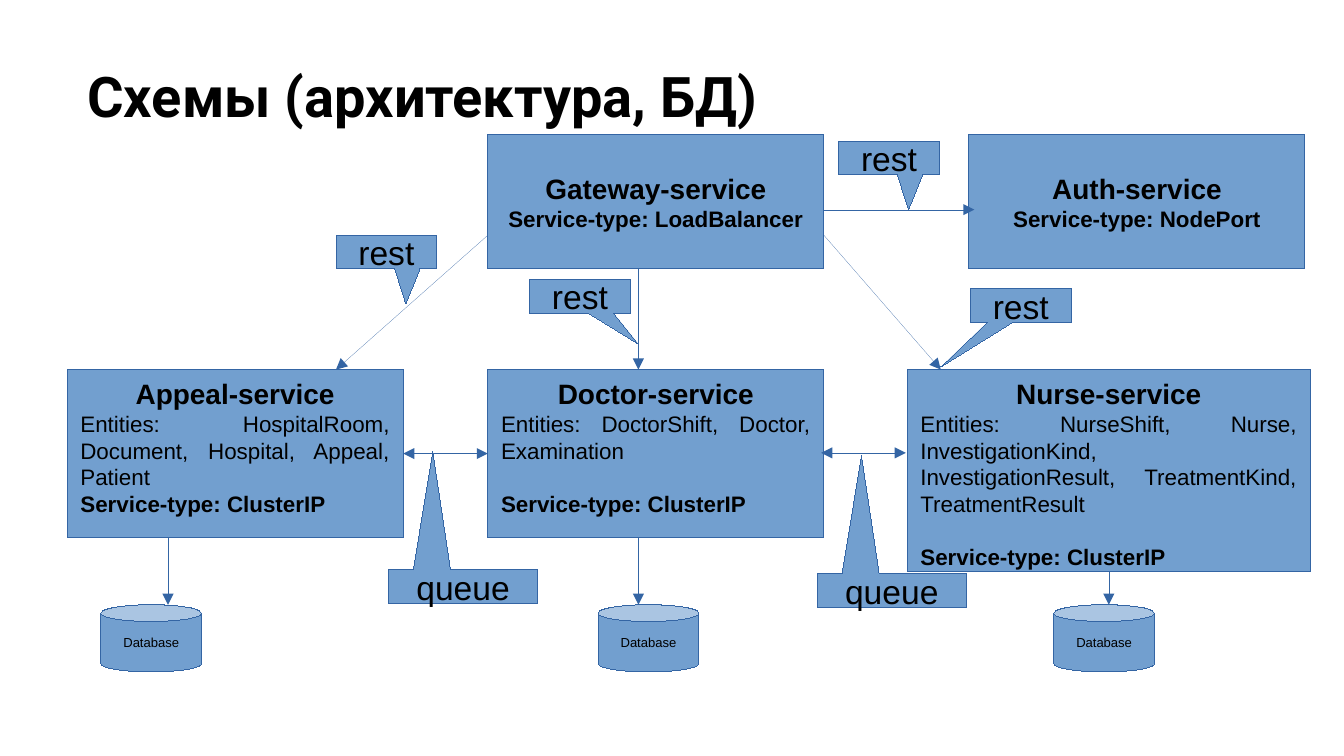
"""Builds the service architecture slide."""
from dataclasses import dataclass

from lxml.etree import SubElement
from pptx import Presentation
from pptx.dml.color import RGBColor
from pptx.enum.shapes import MSO_CONNECTOR, MSO_SHAPE
from pptx.enum.text import MSO_ANCHOR, MSO_AUTO_SIZE, PP_ALIGN
from pptx.oxml.ns import qn
from pptx.util import Emu, Pt


@dataclass(frozen=True)
class Theme:
    fill: RGBColor = RGBColor(0x72, 0x9F, 0xCF)
    line: RGBColor = RGBColor(0x34, 0x65, 0xA4)
    text: RGBColor = RGBColor(0, 0, 0)
    title_font: str = "Roboto"
    body_font: str = "Arial"
    title_size: int = 30
    heading_size: int = 15
    body_size: int = 12
    label_size: int = 18
    database_size: int = 7
    gap: int = 14


THEME = Theme()
SCALE = 9144
PAGE_WIDTH = 1000
TITLE = "Схемы (архитектура, БД)"
TITLE_BOX = (55, 36, 932, 120)

SERVICES = {
    "Appeal-service": ((50, 275, 250, 125), "HospitalRoom, Document, Hospital, Appeal, Patient", "ClusterIP", 0),
    "Gateway-service": ((363, 100, 250, 100), None, "LoadBalancer", 0),
    "Doctor-service": ((363, 275, 250, 125), "DoctorShift, Doctor, Examination", "ClusterIP", THEME.gap),
    "Nurse-service": (
        (675, 275, 300, 150),
        "NurseShift, Nurse, InvestigationKind, InvestigationResult, TreatmentKind, TreatmentResult",
        "ClusterIP",
        THEME.gap,
    ),
    "Auth-service": ((721, 100, 250, 100), None, "NodePort", 0),
}
REQUEST_ARROWS = [
    (363, 175, 250, 275),
    (475, 200, 475, 275),
    (613, 175, 700, 275),
    (613, 156, 725, 156),
]
STORAGE_ARROWS = [(125, 400, 125, 450), (475, 400, 475, 450), (825, 425, 825, 450)]
MESSAGE_ARROWS = [(300, 337, 363, 337), (611, 337, 674, 337)]
CALLOUTS = [
    ("rest", (250, 175, 75, 25), (302, 226)),
    ("rest", (394, 208, 75, 25), (475, 256)),
    ("rest", (722, 215, 75, 25), (700, 273)),
    ("rest", (624, 105, 75, 25), (676, 156)),
    ("queue", (289, 424, 111, 25), (322, 336)),
    ("queue", (608, 427, 111, 25), (641, 339)),
]
DATABASE = "Database"
DATABASE_LEFTS = [75, 445, 784]
DATABASE_TOP, DATABASE_WIDTH, DATABASE_HEIGHT = 450, 75, 50


def px(*lengths):
    return [Emu(length * SCALE) for length in lengths]


def add_span(para, text, size, bold=False, font=THEME.body_font):
    span = para.add_run()
    span.text = text
    span.font.size = Pt(size)
    span.font.bold = bold
    span.font.name = font
    span.font.color.rgb = THEME.text


def draw_hairline(line):
    line.color.rgb = THEME.line
    outline = line._get_or_add_ln()
    outline.set("w", "0")
    return outline


def add_box(page, kind, bounds, paragraphs, anchor=MSO_ANCHOR.MIDDLE):
    box = page.shapes.add_shape(kind, *px(*bounds))
    box.shadow.inherit = False
    box.fill.solid()
    box.fill.fore_color.rgb = THEME.fill
    draw_hairline(box.line)
    frame = box.text_frame
    frame.word_wrap = True
    frame.vertical_anchor = anchor
    frame.margin_left, frame.margin_top, frame.margin_right, frame.margin_bottom = px(10, 5, 10, 5)
    for index, (text, size, bold, align, gap) in enumerate(paragraphs):
        para = frame.add_paragraph() if index else frame.paragraphs[0]
        para.alignment = align
        para.space_before = Pt(gap)
        add_span(para, text, size, bold)
    return box


def add_service(page, name, bounds, entities, service_type, gap):
    align = PP_ALIGN.JUSTIFY if entities else PP_ALIGN.CENTER
    paragraphs = [(name, THEME.heading_size, True, PP_ALIGN.CENTER, 0)]
    if entities:
        paragraphs.append((f"Entities: {entities}", THEME.body_size, False, align, 0))
    paragraphs.append((f"Service-type: {service_type}", THEME.body_size, True, align, gap))
    anchor = MSO_ANCHOR.TOP if entities else MSO_ANCHOR.MIDDLE
    return add_box(page, MSO_SHAPE.RECTANGLE, bounds, paragraphs, anchor)


def add_label(page, kind, bounds, text, size):
    return add_box(page, kind, bounds, [(text, size, False, PP_ALIGN.CENTER, 0)])


def add_callout(page, text, bounds, tip):
    callout = add_label(page, MSO_SHAPE.RECTANGULAR_CALLOUT, bounds, text, THEME.label_size)
    left, top, width, height = bounds
    callout.adjustments[0] = (tip[0] - left) / width - 0.5
    callout.adjustments[1] = (tip[1] - top) / height - 0.5


def add_arrow(page, ends, heads=("tailEnd",)):
    arrow = page.shapes.add_connector(MSO_CONNECTOR.STRAIGHT, *px(*ends))
    outline = draw_hairline(arrow.line)
    for head in heads:
        SubElement(outline, qn(f"a:{head}"), type="triangle")
    SubElement(arrow._element.spPr, qn("a:effectLst"))
    return arrow


def add_title(page):
    title = page.shapes.title
    title.left, title.top, title.width, title.height = px(*TITLE_BOX)
    frame = title.text_frame
    frame.auto_size = MSO_AUTO_SIZE.NONE
    frame.word_wrap = True
    frame.vertical_anchor = MSO_ANCHOR.TOP
    frame.margin_left, frame.margin_top, frame.margin_right, frame.margin_bottom = px(10, 10, 10, 10)
    para = frame.paragraphs[0]
    para.alignment = PP_ALIGN.LEFT
    add_span(para, TITLE, THEME.title_size, True, THEME.title_font)


def main():
    deck = Presentation()
    deck.slide_width = Emu(PAGE_WIDTH * SCALE)
    deck.slide_height = Emu(deck.slide_width * 9 // 16)
    page = deck.slides.add_slide(deck.slide_layouts[5])
    add_title(page)

    services = {name: add_service(page, name, *details) for name, details in SERVICES.items()}
    for ends in REQUEST_ARROWS:
        add_arrow(page, ends)
    storage = [add_arrow(page, ends) for ends in STORAGE_ARROWS]
    messages = [add_arrow(page, ends, ("headEnd", "tailEnd")) for ends in MESSAGE_ARROWS]
    storage[-1].begin_connect(services["Nurse-service"], 2)
    messages[0].begin_connect(services["Appeal-service"], 3)
    messages[0].end_connect(services["Doctor-service"], 1)

    for callout in CALLOUTS:
        add_callout(page, *callout)
    for left in DATABASE_LEFTS:
        bounds = (left, DATABASE_TOP, DATABASE_WIDTH, DATABASE_HEIGHT)
        add_label(page, MSO_SHAPE.CAN, bounds, DATABASE, THEME.database_size)

    deck.save("out.pptx")


if __name__ == "__main__":
    main()
